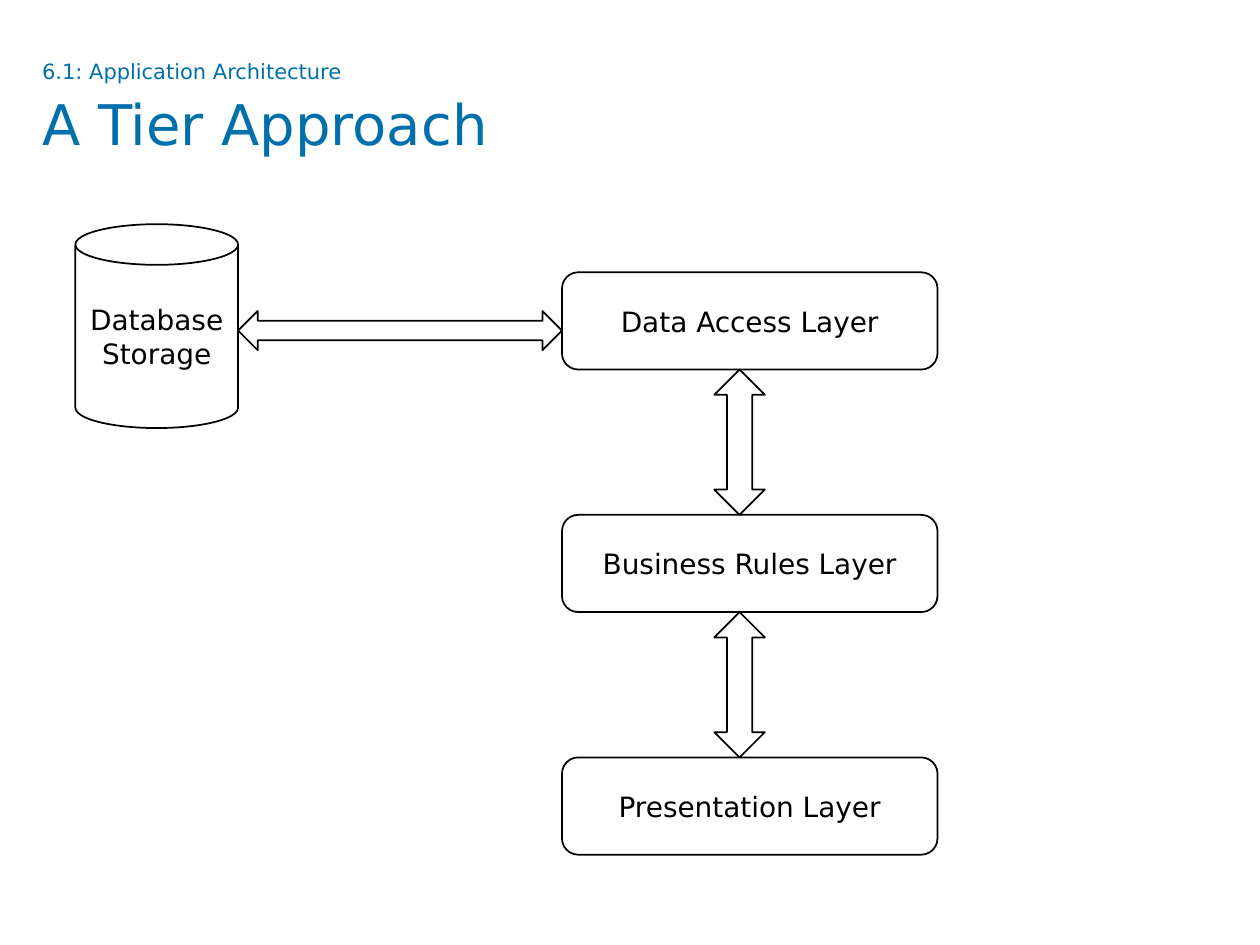
"""Build a slide showing the tiers of an application architecture."""
from dataclasses import dataclass

from pptx import Presentation
from pptx.dml.color import RGBColor
from pptx.enum.shapes import MSO_SHAPE as Preset
from pptx.enum.text import MSO_ANCHOR as Anchor, PP_ALIGN as Align
from pptx.shapes.shapetree import GroupShapes
from pptx.text.text import TextFrame
from pptx.util import Cm, Pt

FONT = "DejaVu Sans"
COLORS = {"heading": "0070AD", "ink": "000000"}
LAYERS = ["Data Access Layer", "Business Rules Layer", "Presentation Layer"]
LAYER_LEFT, LAYER_TOP, LAYER_WIDTH, LAYER_HEIGHT = 11.33, 5.49, 7.57, 1.96
LAYER_PITCH = 4.89
STORE_LEFT, STORE_WIDTH = 1.52, 3.28
STORE_RIGHT = STORE_LEFT + STORE_WIDTH


@dataclass(frozen=True)
class Part:
    preset: Preset
    left: float
    top: float
    width: float
    height: float
    label: str = ""


def write(frame: TextFrame, text: str, *, size: float, color: str,
          align: Align = Align.LEFT, line_break: bool = False) -> None:
    paragraph = frame.paragraphs[0]
    paragraph.alignment = align
    if line_break:
        paragraph.add_line_break()
    run = paragraph.add_run()
    run.text = text
    run.font.name = FONT
    run.font.size = Pt(size)
    run.font.color.rgb = RGBColor.from_string(COLORS[color])


def draw_part(shapes: GroupShapes, part: Part) -> None:
    outline = shapes.add_shape(part.preset, Cm(part.left), Cm(part.top),
                               Cm(part.width), Cm(part.height))
    outline.shadow.inherit = False
    outline.fill.background()
    outline.line.color.rgb = RGBColor.from_string(COLORS["ink"])
    outline.line.width = Pt(1)
    if part.label:
        outline.text_frame.word_wrap = True
        outline.text_frame.vertical_anchor = Anchor.MIDDLE
        write(outline.text_frame, part.label, size=16, color="ink", align=Align.CENTER)


def architecture() -> list[Part]:
    tops = [LAYER_TOP + LAYER_PITCH * level for level in range(len(LAYERS))]
    store = Part(Preset.CAN, STORE_LEFT, 4.52, STORE_WIDTH, 4.11, "Database Storage")
    layers = [Part(Preset.ROUNDED_RECTANGLE, LAYER_LEFT, top, LAYER_WIDTH, LAYER_HEIGHT, label)
              for top, label in zip(tops, LAYERS)]
    layer_links = [Part(Preset.UP_DOWN_ARROW, 14.4, top + LAYER_HEIGHT, 1.02,
                        LAYER_PITCH - LAYER_HEIGHT) for top in tops[:-1]]
    store_link = Part(Preset.LEFT_RIGHT_ARROW, STORE_RIGHT, 6.27,
                      LAYER_LEFT - STORE_RIGHT, 0.79)
    return [store, *layers, *layer_links, store_link]


def main() -> None:
    deck = Presentation()
    deck.slide_width, deck.slide_height = Cm(25.4), Cm(19.05)
    slide = deck.slides.add_slide(deck.slide_layouts[6])

    heading = slide.shapes.add_textbox(Cm(0.85), Cm(1.15), Cm(23.7), Cm(2.38)).text_frame
    heading.word_wrap = True
    heading.margin_left = heading.margin_right = 0
    heading.margin_top = heading.margin_bottom = 0
    heading.paragraphs[0].line_spacing = 1.08
    write(heading, "6.1: Application Architecture", size=12, color="heading")
    write(heading, "A Tier Approach", size=32, color="heading", line_break=True)

    diagram = slide.shapes.add_group_shape()
    for part in architecture():
        draw_part(diagram.shapes, part)
    deck.save("out.pptx")


if __name__ == "__main__":
    main()
